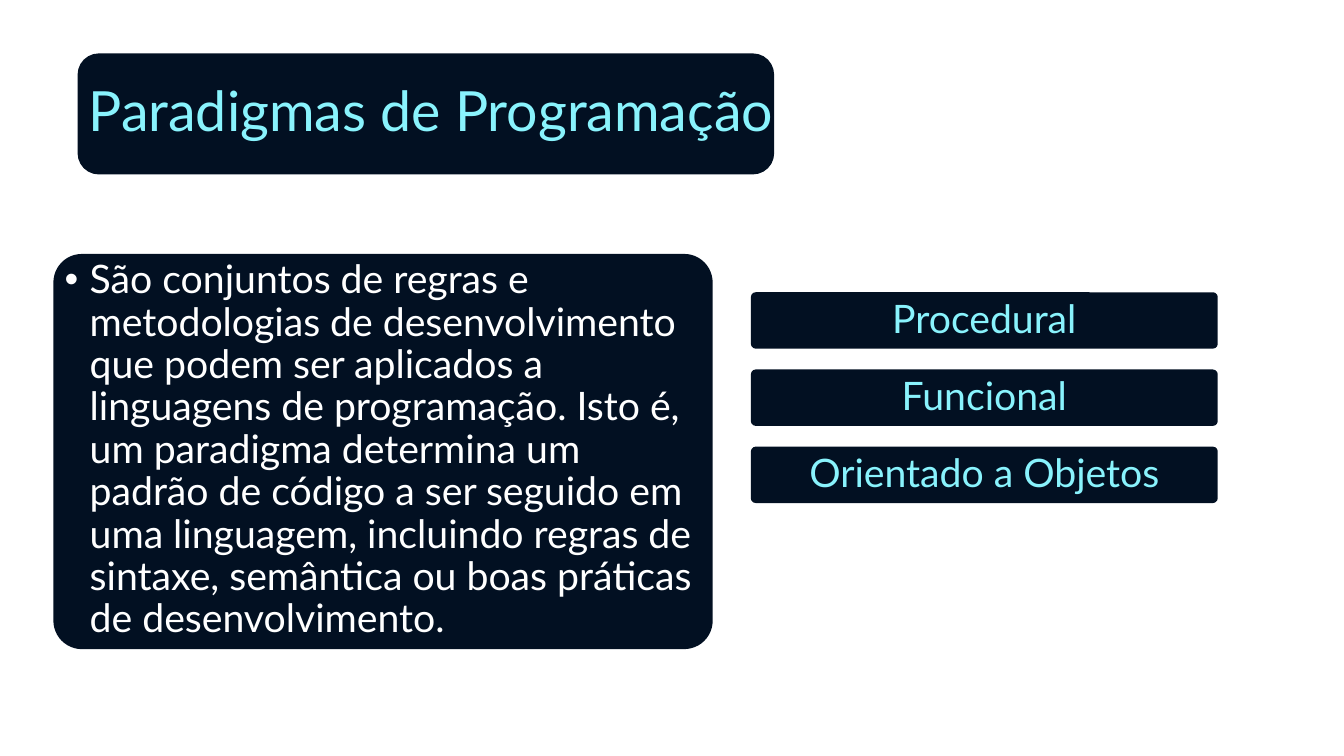
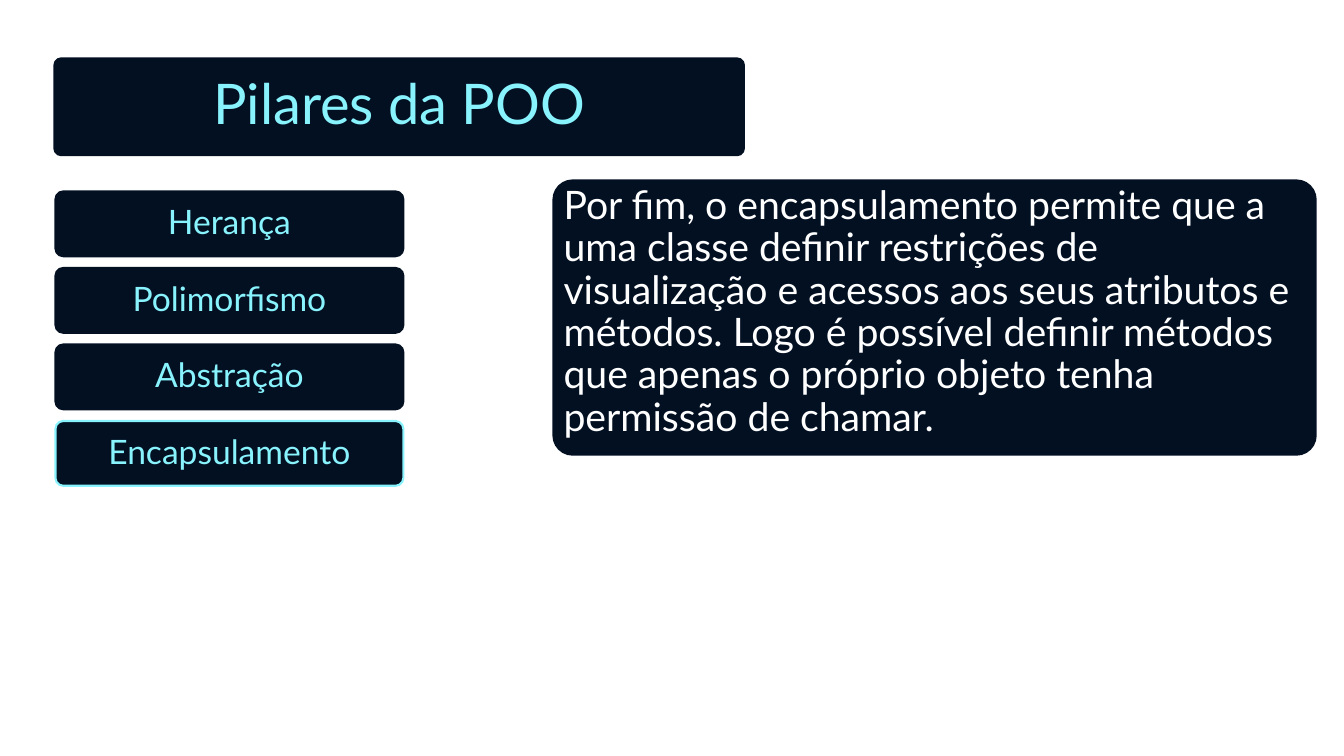
from lxml import etree
from pptx import Presentation
from pptx.dml.color import RGBColor
from pptx.enum.shapes import MSO_SHAPE
from pptx.enum.text import MSO_ANCHOR, MSO_AUTO_SIZE, PP_ALIGN
from pptx.oxml.ns import qn
from pptx.util import Inches, Pt

NAVY = RGBColor(0x02, 0x10, 0x22)
CYAN = RGBColor(0x89, 0xF3, 0xFD)
WHITE = RGBColor(0xFF, 0xFF, 0xFF)
ROUND = MSO_SHAPE.ROUNDED_RECTANGLE
TOP, MIDDLE = MSO_ANCHOR.TOP, MSO_ANCHOR.MIDDLE
LEFT, CENTER = PP_ALIGN.LEFT, PP_ALIGN.CENTER
FIXED = MSO_AUTO_SIZE.NONE

WIDE, HIGH = Inches(13.33), Inches(7.5)
FONT = "Lato"
FRAME = {"word_wrap": True, "auto_size": FIXED}
PARA = {"line_spacing": 0.9, "space_before": Pt(10)}
CURVE = 0.07


def apply(target, values):
    for name, value in values.items():
        setattr(target, name, value)


def place(box):
    """Turn a box in percent of the slide into left, top, width, height."""
    return [round(part * side / 100) for part, side in zip(box, (WIDE, HIGH) * 2)]


def write(shape, text, size, color, align, anchor):
    frame = shape.text_frame
    frame.text = text
    apply(frame, FRAME | {"vertical_anchor": anchor})
    para = frame.paragraphs[0]
    apply(para, PARA | {"alignment": align})
    apply(para.runs[0].font, {"name": FONT, "size": Pt(size)})
    para.runs[0].font.color.rgb = color
    return para


def plate(slide, box, curve=CURVE, edge=NAVY):
    shape = slide.shapes.add_shape(ROUND, *place(box))
    shape.adjustments[0] = curve
    shape.shadow.inherit = False
    shape.fill.solid()
    shape.fill.fore_color.rgb = NAVY
    shape.line.color.rgb = edge
    shape.line.width = Pt(1.5)
    return shape


def settle(holder, box, back):
    """Move a placeholder into its box, with its plate right behind it."""
    apply(holder, dict(zip(("left", "top", "width", "height"), place(box))))
    holder.element.addprevious(back.element)


def title(slide, box, text, size, align, curve=CURVE, extra=0):
    """Title on a plate; extra widens the text past the plate."""
    holder = slide.shapes.title
    x, y, w, h = box
    settle(holder, (x, y, w + extra, h), plate(slide, box, curve))
    write(holder, text, size, CYAN, align, MIDDLE)


def body(slide, box, text, bullet=None):
    holder = slide.placeholders[1]
    settle(holder, box, plate(slide, box))
    props = write(holder, text, 28, WHITE, LEFT, TOP)._p.get_or_add_pPr()
    indent = Inches(0.25) if bullet else 0
    props.set("marL", str(indent))
    props.set("indent", str(-indent))
    if bullet:
        etree.SubElement(props, qn("a:buChar")).set("char", bullet)
    else:
        etree.SubElement(props, qn("a:buNone"))


def stack(slide, box, names, share, size, anchor, curve=CURVE, active=None):
    """Evenly spaced labels; share is one label's part of the box height."""
    x, y, w, h = box
    tall = h * share
    pitch = (h - tall) / (len(names) - 1)
    for i, name in enumerate(names):
        edge = CYAN if name == active else NAVY
        label = plate(slide, (x, y + i * pitch, w, tall), curve, edge)
        write(label, name, size, CYAN, CENTER, anchor)


def paradigms(slide):
    title(slide, (5.85, 7.2, 51.67, 15.73), "Paradigmas de Programação",
          39.6, LEFT, curve=0.17, extra=1.36)
    body(slide, (4.05, 33.73, 48.9, 52),
         "São conjuntos de regras e metodologias de desenvolvimento que podem "
         "ser aplicados a linguagens de programação. Isto é, um paradigma "
         "determina um padrão de código a ser seguido em uma linguagem, "
         "incluindo regras de sintaxe, semântica ou boas práticas de "
         "desenvolvimento.", "•")
    stack(slide, (55.95, 38.8, 34.58, 27.6),
          ("Procedural", "Funcional", "Orientado a Objetos"), 0.26, 28, TOP)


def pillars(slide):
    title(slide, (4.05, 7.73, 51.3, 12.8), "Pilares da POO", 40, CENTER)
    stack(slide, (4.13, 25.33, 25.88, 38.93),
          ("Herança", "Polimorfismo", "Abstração", "Encapsulamento"),
          0.22, 24, MIDDLE, curve=0.12, active="Encapsulamento")
    body(slide, (41.18, 23.87, 56.71, 36.27),
         "Por fim, o encapsulamento permite que a uma classe definir "
         "restrições de visualização e acessos aos seus atributos e métodos. "
         "Logo é possível definir métodos que apenas o próprio objeto tenha "
         "permissão de chamar.")


def main():
    deck = Presentation()
    apply(deck, {"slide_width": WIDE, "slide_height": HIGH})
    for build in (paradigms, pillars):
        build(deck.slides.add_slide(deck.slide_layouts[1]))
    deck.save("out.pptx")


if __name__ == "__main__":
    main()
